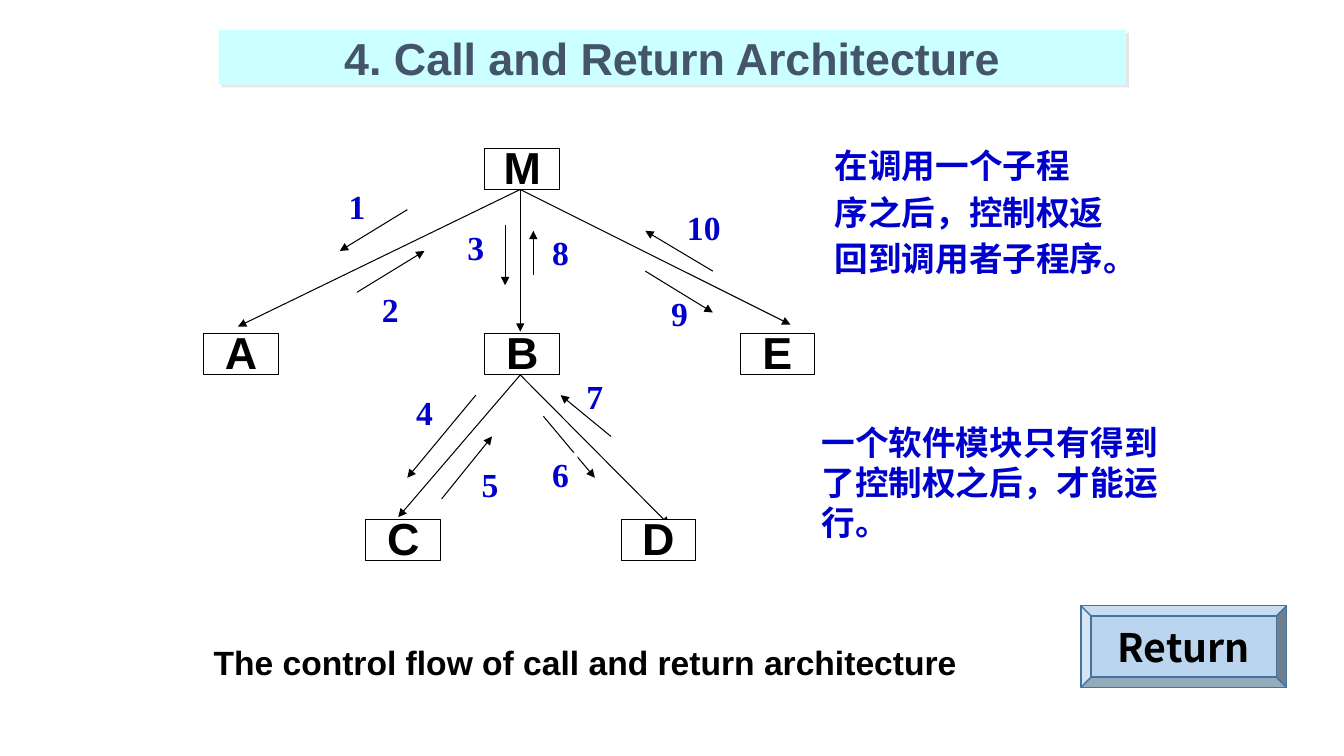
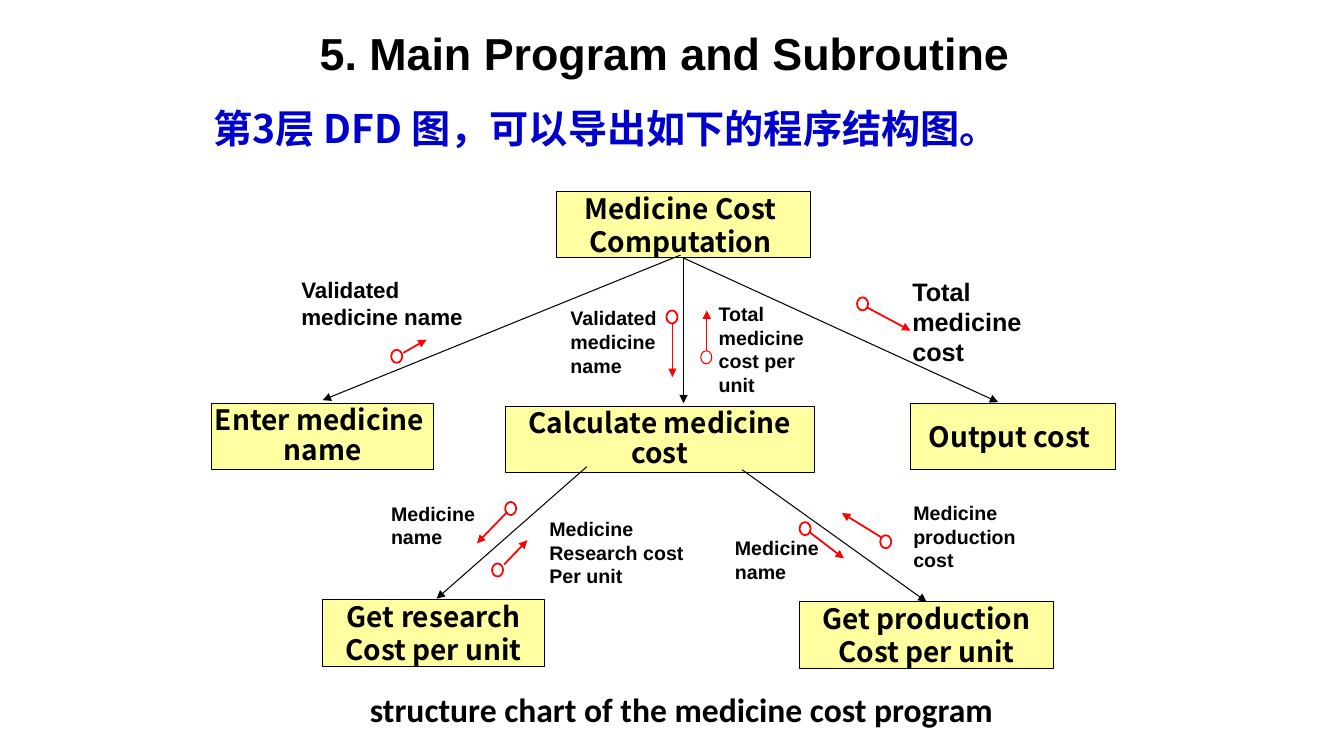
import lxml.etree
import pptx
import pptx.dml.color
import pptx.enum.shapes
import pptx.enum.text
import pptx.oxml.ns
import pptx.util

Inches = pptx.util.Inches
Pt = pptx.util.Pt
RGBColor = pptx.dml.color.RGBColor
SHAPE = pptx.enum.shapes.MSO_SHAPE
ALIGN = pptx.enum.text.PP_ALIGN
ANCHOR = pptx.enum.text.MSO_ANCHOR
qn = pptx.oxml.ns.qn

BLACK = RGBColor(0x00, 0x00, 0x00)
WHITE = RGBColor(0xFF, 0xFF, 0xFF)
RED = RGBColor(0xFF, 0x00, 0x00)
BLUE = RGBColor(0x00, 0x00, 0xCC)
SLATE = RGBColor(0x44, 0x54, 0x6A)
CYAN = RGBColor(0xCC, 0xFF, 0xFF)
YELLOW = RGBColor(0xFF, 0xFF, 0xA1)
BUTTON_FILL = RGBColor(0xBA, 0xD5, 0xED)
BUTTON_EDGE = RGBColor(0x43, 0x73, 0x9E)

SANS = "Arial"
SERIF = "Times New Roman"
CHINESE = "Noto Sans CJK SC"
TITLE_SIZE = 32
CHINESE_LEADING = 1.19


def add_box(page, place, lines, size, font=SANS, color=BLACK, kind=None, fill=None,
            edge=None, edge_width=0.75, align=ALIGN.LEFT, anchor=ANCHOR.TOP,
            margins=(0.1, 0.05), spacing=1.0, gap=0, wrap=True):
    place = [Inches(length) for length in place]
    if kind is None:
        box = page.shapes.add_textbox(*place)
    else:
        box = page.shapes.add_shape(kind, *place)
        box.shadow.inherit = False
        if edge is None:
            box.line.fill.background()
        else:
            box.line.color.rgb = edge
            box.line.width = Pt(edge_width)
        if fill is None:
            box.fill.background()
        else:
            box.fill.solid()
            box.fill.fore_color.rgb = fill
    frame = box.text_frame
    frame.text = "\n".join(lines)
    frame.word_wrap = wrap
    frame.vertical_anchor = anchor
    frame.margin_left = frame.margin_right = Inches(margins[0])
    frame.margin_top = frame.margin_bottom = Inches(margins[1])
    for index, para in enumerate(frame.paragraphs):
        para.alignment = align
        para.line_spacing = Pt(size * CHINESE_LEADING * spacing) if font == CHINESE else spacing
        if index and gap:
            para.space_before = Pt(gap)
        for span in para.runs:
            span.font.size = Pt(size)
            span.font.bold = True
            span.font.color.rgb = color
            span.font.name = font
            if font == CHINESE:
                lxml.etree.SubElement(span.font._element, qn("a:ea"), typeface=font)
    return box


def add_arrow(page, start, end, color=BLACK, width=0.75):
    arrow = page.shapes.add_connector(
        pptx.enum.shapes.MSO_CONNECTOR.STRAIGHT,
        Inches(start[0]), Inches(start[1]), Inches(end[0]), Inches(end[1]))
    arrow.line.color.rgb = color
    arrow.line.width = Pt(width)
    lxml.etree.SubElement(arrow.line._get_or_add_ln(), qn("a:tailEnd"), type="triangle")
    lxml.etree.SubElement(arrow._element.spPr, qn("a:effectLst"))


deck = pptx.Presentation()
deck.slide_width = Inches(13.33)
deck.slide_height = Inches(7.5)
blank = deck.slide_layouts[6]

page = deck.slides.add_slide(blank)

title = add_box(page, (2.17, 0.3, 9, 0.54), ["4. Call and Return Architecture"], TITLE_SIZE,
                color=SLATE, kind=SHAPE.RECTANGLE, fill=CYAN,
                align=ALIGN.CENTER, anchor=ANCHOR.MIDDLE)
effects = title._element.spPr.find(qn("a:effectLst"))
shadow = lxml.etree.SubElement(effects, qn("a:outerShdw"), blurRad="0",
                               dist=str(int(Pt(2.8))), dir="2700000",
                               algn="ctr", rotWithShape="0")
lxml.etree.SubElement(shadow, qn("a:srgbClr"), val="E7E6E6")

below_m = (5.16, 1.88)
below_b = (5.16, 3.72)
for start, end in [
    (below_m, (2.36, 3.24)),
    (below_m, (5.16, 3.29)),
    (below_m, (7.84, 3.22)),
    (below_b, (3.95, 5.13)),
    (below_b, (6.64, 5.21)),
]:
    add_arrow(page, start, end)

for number, left, top, start, end in [
    ("1", 3.37, 1.83, (4.04, 2.08), (3.37, 2.49)),
    ("2", 3.7, 2.86, (3.54, 2.9), (4.21, 2.49)),
    ("3", 4.55, 2.24, (5.01, 2.23), (5.01, 2.83)),
    ("4", 4.04, 3.88, (4.72, 3.92), (4.04, 4.74)),
    ("5", 4.69, 4.59, (4.38, 4.95), (4.88, 4.33)),
    ("6", 5.39, 4.49, (5.39, 4.13), (5.9, 4.74)),
    ("7", 5.73, 3.72, (6.06, 4.33), (5.56, 3.92)),
    ("8", 5.39, 2.29, (5.29, 2.73), (5.29, 2.29)),
    ("9", 6.57, 2.9, (6.4, 2.69), (7.07, 3.1)),
    ("10", 6.74, 2.04, (7.07, 2.69), (6.4, 2.29)),
]:
    add_arrow(page, start, end)
    width = 0.34 if len(number) == 1 else 0.48
    label = add_box(page, (left, top, width, 0.43), [number], 24, SERIF, BLUE,
                    align=ALIGN.CENTER, margins=(0.02, 0.01))
    if number == "6":
        label.fill.solid()
        label.fill.fore_color.rgb = WHITE

for name, left, top in [
    ("M", 4.81, 1.47),
    ("A", 2.02, 3.31),
    ("B", 4.81, 3.31),
    ("E", 7.34, 3.31),
    ("C", 3.63, 5.15),
    ("D", 6.16, 5.15),
]:
    add_box(page, (left, top, 0.74, 0.41), [name], 32, kind=SHAPE.RECTANGLE, fill=WHITE,
            edge=BLACK, align=ALIGN.CENTER, anchor=ANCHOR.MIDDLE,
            margins=(0.06, 0.03), spacing=0.96)

add_box(page, (8.18, 1.39, 3.2, 1.47),
        ["在调用一个子程", "序之后，控制权返", "回到调用者子程序。"],
        24, CHINESE, BLUE, gap=4.8)
add_box(page, (8.05, 4.14, 3.76, 1.31), ["一个软件模块只有得到了控制权之后，才能运行。"],
        24, CHINESE, BLUE)
add_box(page, (2.02, 6.32, 7.64, 0.5),
        ["The control flow of call and return architecture"], 24)
add_box(page, (10.72, 6.01, 2.04, 0.81), ["Return"], 28, CHINESE, kind=SHAPE.BEVEL,
        fill=BUTTON_FILL, edge=BUTTON_EDGE, edge_width=1,
        align=ALIGN.CENTER, anchor=ANCHOR.MIDDLE)

page = deck.slides.add_slide(blank)

title = add_box(page, (2.57, 0.21, 8.03, 0.63), ["5. Main Program and Subroutine"], TITLE_SIZE,
                kind=SHAPE.RECTANGLE, fill=WHITE, margins=(0.1, 0.05))
title.text_frame.margin_left = Inches(0.6)
add_box(page, (2.02, 0.99, 9, 0.57), ["第3层 DFD 图，可以导出如下的程序结构图。"],
        28, CHINESE, BLUE)

for place, lines, spacing in [
    ((5.52, 1.9, 2.52, 0.66), ["Medicine Cost ", "Computation "], 1.0),
    ((2.1, 4, 2.2, 0.66), ["Enter medicine ", "name"], 0.9),
    ((5.01, 4.03, 3.07, 0.66), ["Calculate medicine", "cost"], 0.9),
    ((9.03, 4, 2.03, 0.66), ["Output cost "], 1.0),
    ((3.2, 5.95, 2.2, 0.66), ["Get research", "Cost per unit"], 1.0),
    ((7.93, 5.97, 2.52, 0.66), ["Get production", "Cost per unit"], 1.0),
]:
    add_box(page, place, lines, 20, CHINESE, kind=SHAPE.RECTANGLE, fill=YELLOW, edge=BLACK,
            align=ALIGN.CENTER, anchor=ANCHOR.MIDDLE, spacing=spacing, wrap=False)

for start, end in [
    ((6.75, 2.53), (3.2, 3.97)),
    ((6.78, 2.56), (6.78, 4)),
    ((6.78, 2.56), (9.9, 3.99)),
    ((5.82, 4.63), (4.33, 5.94)),
    ((7.36, 4.66), (9.19, 5.97)),
]:
    add_arrow(page, start, end)

for place, lines, size in [
    ((2.89, 2.69, 1.94, 0.64), ["Validated medicine name"], 16),
    ((5.56, 2.99, 1.26, 0.81), ["Validated medicine name"], 14),
    ((7.03, 2.95, 1.16, 1.04), ["Total medicine cost per unit"], 14),
    ((8.95, 2.69, 1.37, 1), ["Total medicine cost"], 18),
    ((3.78, 4.93, 1.15, 0.57), ["Medicine name"], 14),
    ((5.35, 5.08, 1.57, 0.81), ["Medicine", "Research cost", "Per unit"], 14),
    ((7.19, 5.27, 1.15, 0.57), ["Medicine name"], 14),
    ((8.96, 4.92, 1.26, 0.81), ["Medicine production cost"], 14),
]:
    add_box(page, place, lines, size)

for left, top, start, end, weight in [
    (3.88, 3.47, (4, 3.5), (4.23, 3.37), 1.25),
    (6.61, 3.08, (6.67, 3.21), (6.67, 3.74), 1.25),
    (6.95, 3.48, (7.01, 3.48), (7.01, 3.08), 0.75),
    (8.5, 2.95, (8.6, 3.05), (9.03, 3.28), 1.25),
    (5.01, 4.98, (5.03, 5.08), (4.73, 5.39), 1.25),
    (4.88, 5.59, (5, 5.6), (5.23, 5.36), 1.25),
    (7.93, 5.18, (8.03, 5.28), (8.37, 5.54), 1.25),
    (8.73, 5.31, (8.74, 5.33), (8.35, 5.09), 1.25),
]:
    ring = page.shapes.add_shape(SHAPE.OVAL, Inches(left), Inches(top),
                                 Inches(0.11), Inches(0.13))
    ring.shadow.inherit = False
    ring.fill.background()
    ring.line.color.rgb = RED
    ring.line.width = Pt(weight)
    add_arrow(page, start, end, RED, weight)

add_box(page, (2.26, 6.86, 9, 0.43), ["structure chart of the medicine cost program"],
        24, "Calibri", align=ALIGN.CENTER, spacing=0.8)

deck.save("out.pptx")
